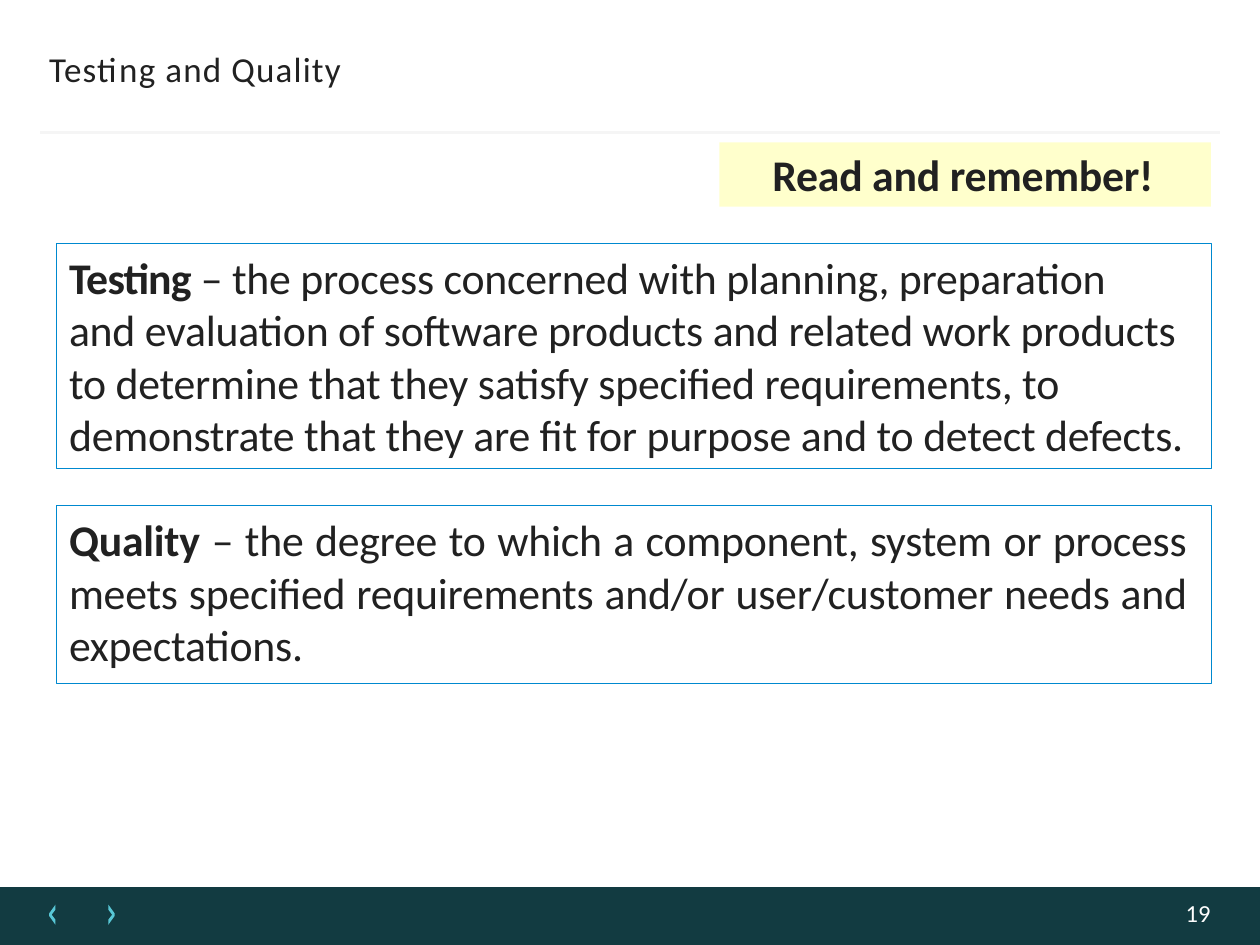
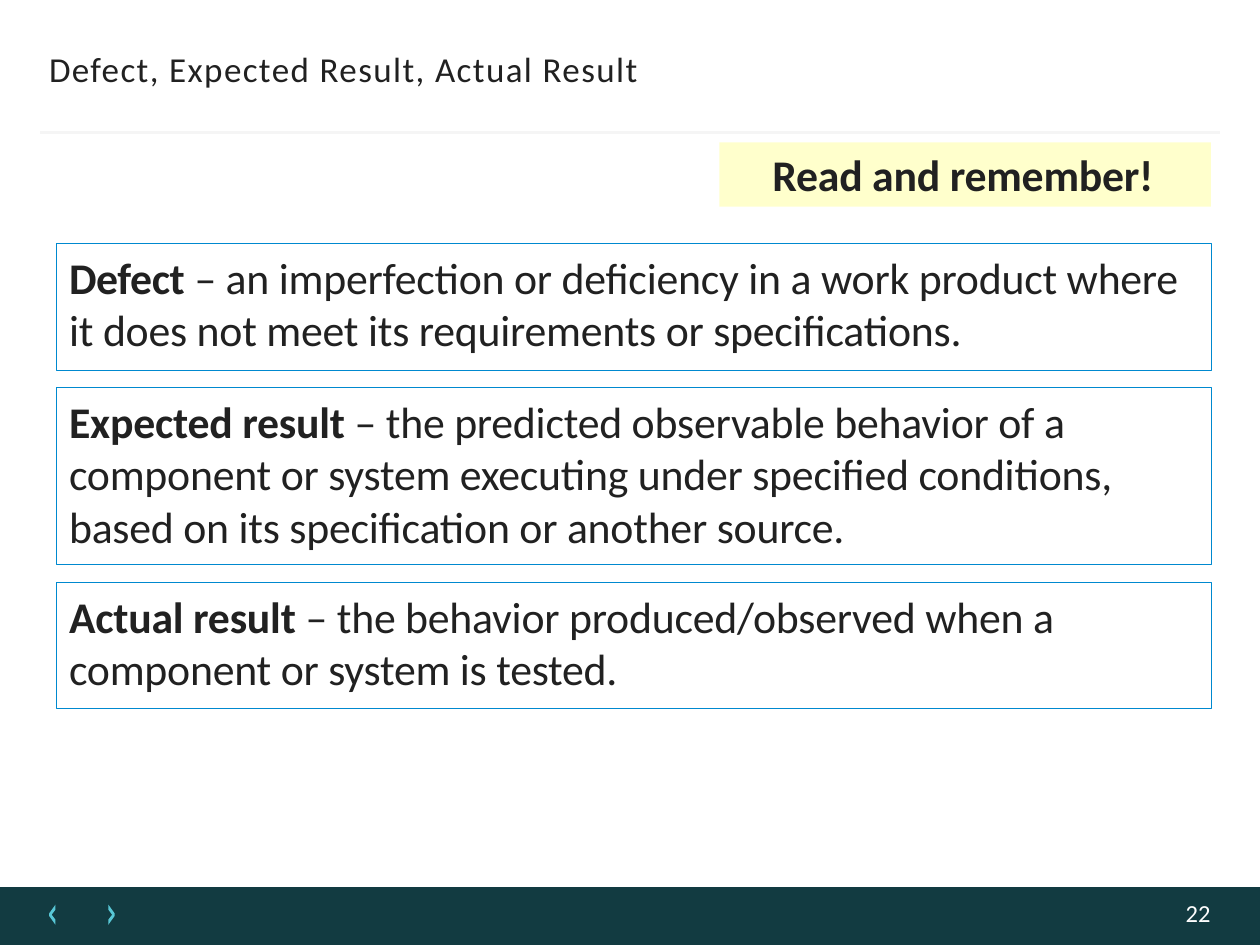
from lxml.etree import SubElement
from pptx import Presentation
from pptx.dml.color import RGBColor
from pptx.enum.shapes import MSO_CONNECTOR, MSO_SHAPE
from pptx.enum.text import MSO_ANCHOR, MSO_AUTO_SIZE, PP_ALIGN
from pptx.oxml.ns import qn
from pptx.util import Inches, Pt

COLORS = {
    "text": "212121",
    "footer": "123B41",
    "arrow": "58C7D6",
    "number": "FDFDFD",
    "rule": "F5F5F5",
    "border": "0089CF",
    "highlight": "FFFF00",
}
FONT = "Calibri"
CONTENT_LEFT, CONTENT_WIDTH = 0.45, 9.16
CHEVRON = [(0.44, 7.18), (0.39, 7.25), (0.39, 7.27), (0.44, 7.34),
           (0.44, 7.3), (0.41, 7.26), (0.44, 7.22)]
CHEVRON_MIRROR = 1.3  # sum of the x positions of both chevrons


def rgb(name):
    return RGBColor.from_string(COLORS[name])


class Deck:
    def __init__(self):
        self.prs = Presentation()
        self.prs.slide_width, self.prs.slide_height = Inches(10), Inches(7.5)
        self.s = None

    def new_slide(self, heading, number, spacing):
        self.s = self.prs.slides.add_slide(self.prs.slide_layouts[5])
        self.footer(number)
        self.rule()
        self.text_box(0.38, 0.35, 6, 0.36, heading, 20, "text", spacing,
                      insets=(0.01, 0.03, 0))
        self.callout("Read and remember!")

    def frame(self, sp, insets):
        tf = sp.text_frame
        tf.word_wrap = True
        tf.auto_size = MSO_AUTO_SIZE.NONE
        tf.vertical_anchor = MSO_ANCHOR.TOP
        left, top, right = insets
        tf.margin_left, tf.margin_top = Inches(left), Inches(top)
        tf.margin_right, tf.margin_bottom = Inches(right), 0
        p = tf.paragraphs[0]
        p.alignment = PP_ALIGN.LEFT
        return p

    def run(self, p, text, size, color="text", bold=False, spacing=0.0):
        r = p.add_run()
        r.text = text
        r.font.name, r.font.size, r.font.bold = FONT, Pt(size), bold
        r.font.color.rgb = rgb(color)
        if spacing:
            r._r.get_or_add_rPr().set("spc", str(round(spacing * 100)))

    def text_box(self, x, y, w, h, text, size, color, spacing=0.0,
                 insets=(0, 0, 0)):
        sp = self.s.shapes.add_textbox(Inches(x), Inches(y), Inches(w), Inches(h))
        p = self.frame(sp, insets)
        self.run(p, text, size, color, spacing=spacing)
        return p

    def fill_only(self, sp, color):
        sp.shadow.inherit = False
        sp.fill.solid()
        sp.fill.fore_color.rgb = rgb(color)
        sp.line.fill.background()

    def outline(self, points, color):
        points = [(Inches(x), Inches(y)) for x, y in points]
        builder = self.s.shapes.build_freeform(*points[0])
        builder.add_line_segments(points[1:], close=True)
        self.fill_only(builder.convert_to_shape(), color)

    def footer(self, number):
        band = self.s.shapes.add_shape(MSO_SHAPE.RECTANGLE, 0, Inches(7.04),
                                       Inches(10), Inches(0.46))
        self.fill_only(band, "footer")
        self.outline(CHEVRON, "arrow")
        self.outline([(CHEVRON_MIRROR - x, y) for x, y in CHEVRON], "arrow")
        p = self.text_box(9.37, 7.16, 0.28, 0.22, number, 14, "number",
                          insets=(0.04, 0, 0))
        p.line_spacing = Pt(14.3)

    def rule(self):
        line = self.s.shapes.add_connector(MSO_CONNECTOR.STRAIGHT, Inches(0.32),
                                           Inches(1.05), Inches(9.68), Inches(1.05))
        line.line.color.rgb = rgb("rule")
        line.line.width = Pt(1.5)
        SubElement(line._element.spPr, qn("a:effectLst"))

    def callout(self, text):
        sp = self.s.shapes.title
        sp.left, sp.top = Inches(5.71), Inches(1.13)
        sp.width, sp.height = Inches(3.9), Inches(0.51)
        sp.fill.solid()
        sp.fill.fore_color.rgb = rgb("highlight")
        color = sp._element.spPr.find(qn("a:solidFill"))[0]
        SubElement(color, qn("a:alpha"), val="20000")
        p = self.frame(sp, (0.42, 0.04, 0))
        self.run(p, text, 25, bold=True, spacing=-0.1)

    def definition(self, top, height, term, lines, term_spacing=-0.1,
                   align=PP_ALIGN.LEFT):
        sp = self.s.shapes.add_shape(MSO_SHAPE.RECTANGLE, Inches(CONTENT_LEFT),
                                     Inches(top), Inches(CONTENT_WIDTH),
                                     Inches(height))
        sp.shadow.inherit = False
        sp.fill.background()
        sp.line.color.rgb = rgb("border")
        sp.line.width = Pt(0.25)
        p = self.frame(sp, (0.1, 0.06, 0.19))
        p.alignment = align
        self.run(p, term + " ", 25, bold=True, spacing=term_spacing)
        for i, line in enumerate(lines):
            if i:
                p.add_line_break()
            self.run(p, line, 25, spacing=-0.1)


def main():
    deck = Deck()

    # Testing and quality
    deck.new_slide("Testing and Quality", "19", 0.65)
    deck.definition(1.93, 1.79, "Testing", [
        "– the process concerned with planning, preparation",
        "and evaluation of software products and related work products "
        "to determine that they satisfy specified requirements, to "
        "demonstrate that they are fit for purpose and to detect defects.",
    ], term_spacing=-0.4)
    deck.definition(4.01, 1.41, "Quality", [
        "– the degree to which a component, system or process meets specified "
        "requirements and/or user/customer needs and expectations.",
    ], align=PP_ALIGN.JUSTIFY)

    # Defect and results
    deck.new_slide("Defect, Expected Result, Actual Result", "22", 0.8)
    deck.definition(1.93, 1.01, "Defect", [
        "– an imperfection or deficiency in a work product where it does not "
        "meet its requirements or specifications.",
    ], term_spacing=-0.2)
    deck.definition(3.07, 1.41, "Expected result", [
        "– the predicted observable behavior of a component or system executing "
        "under specified conditions, based on its specification or another source.",
    ])
    deck.definition(4.62, 1, "Actual result", [
        "– the behavior produced/observed when a component or system is tested.",
    ])

    deck.prs.save("out.pptx")


if __name__ == "__main__":
    main()
